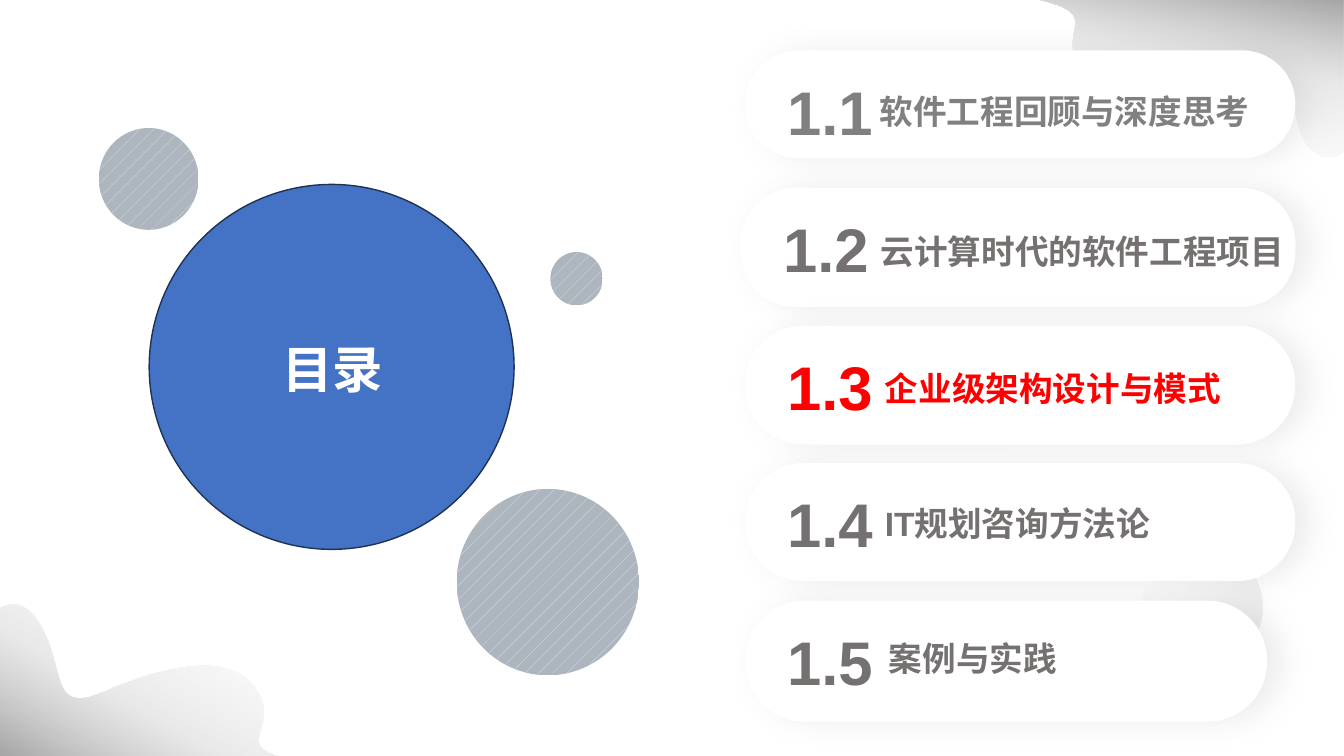
from dataclasses import dataclass

from pptx import Presentation
from pptx.dml.color import RGBColor
from pptx.enum.dml import MSO_PATTERN
from pptx.enum.shapes import MSO_SHAPE
from pptx.enum.text import MSO_ANCHOR, MSO_AUTO_SIZE, PP_ALIGN
from pptx.oxml import parse_xml
from pptx.oxml.ns import nsdecls, qn
from pptx.shapes.autoshape import Shape
from pptx.slide import Slide
from pptx.util import Emu, Pt

EMU_PER_PX = 9144  # 100 px to the inch
FIRST_PILL_TOP, LAST_PILL_TOP = 50, 596
FONT = "Arial"
COLORS = {
    "white": "FFFFFF", "blue": "4472C4", "navy": "1E3256",
    "hatch": "E4E6EA", "slate": "ADB5BF", "shadow": "A6A6A6",
    "first": "808080", "gray": "767171", "active": "FF0000",
    "light": "EDEDED", "middle": "C9C9C9", "dark": "A5A5A5",
}
Point = tuple[int, int]
Curve = tuple[Point, Point, Point]


@dataclass(frozen=True)
class Blob:
    left: int
    top: int
    width: int
    height: int
    start: Point
    curves: list[Curve]
    angle: int


@dataclass(frozen=True)
class Section:
    number: str
    title: str
    color: str
    title_left: int
    title_top: int
    title_width: int
    number_width: int = 115
    pill_left: int = 739
    pill_width: int = 546
    pill_height: int = 118
    roundness: float = 0.493


BLOBS = [
    Blob(0, 591, 276, 159, (255, 686), [
        ((230, 642), (156, 663), (103, 686)),
        ((51, 709), (65, 666), (43, 624)),
        ((26, 591), (7, 599), (0, 604)),
        ((0, 750), (0, 750), (0, 750)),
        ((275, 750), (275, 750), (275, 750)),
        ((233, 736), (276, 722), (255, 686)),
    ], 120),
    Blob(1027, 0, 306, 161, (1071, 66), [
        ((1092, 96), (1174, 90), (1227, 66)),
        ((1281, 42), (1275, 83), (1289, 129)),
        ((1299, 161), (1328, 159), (1333, 149)),
        ((1333, 0), (1333, 0), (1333, 0)),
        ((1027, 0), (1027, 0), (1027, 0)),
        ((1098, 15), (1047, 31), (1071, 66)),
    ], 280),
]
HATCHED_CIRCLES = [(98, 127, 99, 101), (453, 485, 181, 185), (546, 250, 52, 53)]
SECTIONS = [
    Section("1.1", "软件工程回顾与深度思考", "first", 863, 85, 402,
            number_width=110, pill_height=107),
    Section("1.2", "云计算时代的软件工程项目", "gray", 864, 224, 420,
            pill_left=735, pill_width=550, roundness=0.455),
    Section("1.3", "企业级架构设计与模式", "active", 868, 360, 362),
    Section("1.4", "IT规划咨询方法论", "gray", 868, 494, 378, pill_height=117),
    Section("1.5", "案例与实践", "gray", 872, 628, 281, pill_width=518, pill_height=120),
]


def px(length: float) -> Emu:
    return Emu(round(length * EMU_PER_PX))


def rgb(name: str) -> RGBColor:
    return RGBColor.from_string(COLORS[name])


def fill_gradient(shape: Shape, angle: int, middle_alpha: int, dark_alpha: int) -> None:
    shape.shadow.inherit = False
    shape.line.fill.background()
    shape.fill.gradient()
    stops = "".join(
        f'<a:gs pos="{position * 1000}"><a:srgbClr val="{COLORS[color]}">'
        f'<a:alpha val="{alpha * 1000}"/></a:srgbClr></a:gs>'
        for position, color, alpha in
        ((0, "light", 0), (60, "middle", middle_alpha), (100, "dark", dark_alpha)))
    gradient = parse_xml(
        f'<a:gradFill {nsdecls("a")} rotWithShape="1"><a:gsLst>{stops}</a:gsLst>'
        f'<a:lin ang="{angle * 60000}" scaled="0"/></a:gradFill>')
    properties = shape._element.spPr
    properties.replace(properties.find(qn("a:gradFill")), gradient)


def add_blob(slide: Slide, blob: Blob) -> None:
    """A freeform over the blob's bounds, whose path is then made of cubic curves."""
    right, bottom = blob.left + blob.width, blob.top + blob.height
    builder = slide.shapes.build_freeform(blob.left, blob.top, scale=EMU_PER_PX)
    builder.add_line_segments([(right, blob.top), (right, bottom), (blob.left, bottom)])
    shape = builder.convert_to_shape()

    def point_xml(point: Point) -> str:
        return f'<a:pt x="{px(point[0] - blob.left)}" y="{px(point[1] - blob.top)}"/>'

    curves = "".join(
        f'<a:cubicBezTo>{"".join(map(point_xml, curve))}</a:cubicBezTo>'
        for curve in blob.curves)
    outline = parse_xml(
        f'<a:path {nsdecls("a")} w="{px(blob.width)}" h="{px(blob.height)}">'
        f'<a:moveTo>{point_xml(blob.start)}</a:moveTo>{curves}<a:close/></a:path>')
    path_list = shape._element.spPr.find(f'.//{qn("a:pathLst")}')
    path_list.replace(path_list[0], outline)
    fill_gradient(shape, blob.angle, 40, 100)


def add_circle(slide: Slide, left: int, top: int, width: int, height: int) -> Shape:
    circle = slide.shapes.add_shape(
        MSO_SHAPE.OVAL, px(left), px(top), px(width), px(height))
    circle.shadow.inherit = False
    circle.line.fill.background()
    return circle


def set_text(shape: Shape, text: str, size: int, color: str,
             alignment: PP_ALIGN = PP_ALIGN.LEFT) -> None:
    frame = shape.text_frame
    frame.word_wrap = True
    frame.auto_size = MSO_AUTO_SIZE.SHAPE_TO_FIT_TEXT
    frame.vertical_anchor = MSO_ANCHOR.TOP
    paragraph = frame.paragraphs[0]
    paragraph.text = text
    paragraph.alignment = alignment
    font = paragraph.font
    font.name, font.size, font.bold = FONT, Pt(size), True
    font.color.rgb = rgb(color)


def add_section(slide: Slide, section: Section, top: float) -> None:
    # The pill is an upright shape turned on its side about its centre
    turn = (section.pill_width - section.pill_height) / 2
    pill = slide.shapes.add_shape(
        MSO_SHAPE.ROUNDED_RECTANGLE, px(section.pill_left + turn), px(top - turn),
        px(section.pill_height), px(section.pill_width))
    pill.rotation = 90
    pill.adjustments[0] = section.roundness
    pill.shadow.inherit = False
    pill.fill.solid()
    pill.fill.fore_color.rgb = rgb("white")
    pill.line.fill.background()
    pill._element.spPr.find(qn("a:effectLst")).append(parse_xml(
        f'<a:outerShdw {nsdecls("a")} blurRad="{Pt(20)}" dist="{Pt(10)}" dir="0" '
        f'rotWithShape="0"><a:srgbClr val="{COLORS["shadow"]}">'
        f'<a:alpha val="20000"/></a:srgbClr></a:outerShdw>'))

    title = slide.shapes.add_textbox(
        px(section.title_left), px(section.title_top), px(section.title_width), px(50))
    set_text(title, section.title, 24, section.color)
    number = slide.shapes.add_textbox(
        px(section.pill_left + 32), px(top + 18), px(section.number_width), px(84))
    set_text(number, section.number, 44, section.color)


def main() -> None:
    presentation = Presentation()
    presentation.slide_width, presentation.slide_height = px(1333.33), px(750)
    slide = presentation.slides.add_slide(presentation.slide_layouts[5])

    # Background decoration
    for blob in BLOBS:
        add_blob(slide, blob)
    faint_circle = add_circle(slide, 1134, 543, 118, 118)
    faint_circle.rotation = 285
    fill_gradient(faint_circle, 120, 25, 30)

    # Title circle, with the title brought in front of it
    title_circle = add_circle(slide, 148, 183, 362, 362)
    title_circle.fill.solid()
    title_circle.fill.fore_color.rgb = rgb("blue")
    title_circle.line.color.rgb = rgb("navy")
    title_circle.line.width = Pt(1)
    title = slide.shapes.title
    title.left, title.top, title.width, title.height = map(px, (177, 330, 306, 71))
    set_text(title, "目录", 36, "white", PP_ALIGN.CENTER)
    title_circle._element.addnext(title._element)

    # Hatched circles
    for bounds in HATCHED_CIRCLES:
        circle = add_circle(slide, *bounds)
        circle.fill.patterned()
        circle.fill.pattern = MSO_PATTERN.PERCENT_5
        circle.fill.fore_color.rgb = rgb("hatch")
        circle.fill.back_color.rgb = rgb("slate")

    # Contents list
    pitch = (LAST_PILL_TOP - FIRST_PILL_TOP) / (len(SECTIONS) - 1)
    for index, section in enumerate(SECTIONS):
        add_section(slide, section, FIRST_PILL_TOP + index * pitch)

    presentation.save("out.pptx")


if __name__ == "__main__":
    main()
